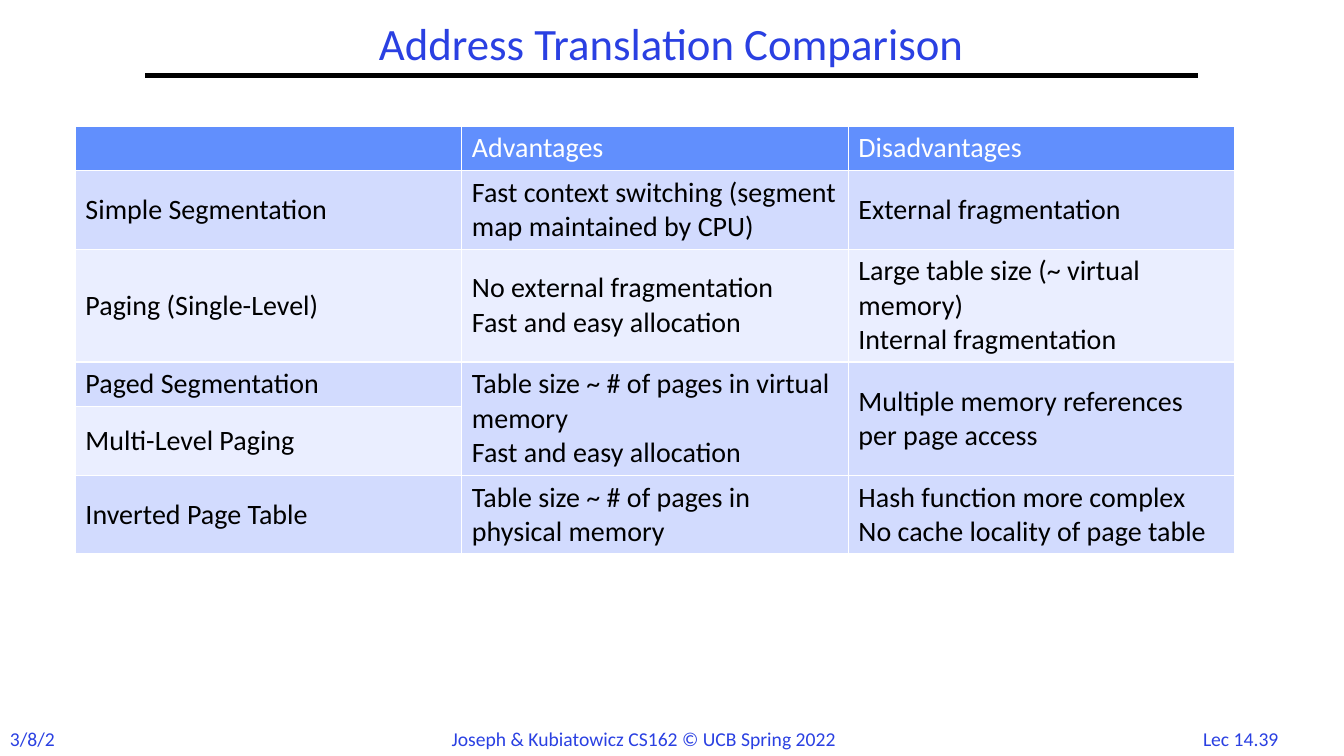
import pptx
import pptx.dml.color
import pptx.enum.shapes
import pptx.enum.text
import pptx.oxml
import pptx.util
from pptx.util import Cm

COLORS = {
    "blue": "2A40E2",
    "black": "000000",
    "white": "FFFFFF",
    "header": "618FFD",
    "odd": "D2DBFE",
    "even": "EAEEFF",
}
ALIGN = pptx.enum.text.PP_ALIGN
ANCHOR = pptx.enum.text.MSO_ANCHOR

COMPARISON = [
    ("", "Advantages", "Disadvantages"),
    ("Simple Segmentation", "Fast context switching (segment map maintained by CPU)", "External fragmentation"),
    ("Paging (Single-Level)", "No external fragmentation\nFast and easy allocation",
     "Large table size (~ virtual memory)\nInternal fragmentation"),
    ("Paged Segmentation", "Table size ~ # of pages in virtual memory\nFast and easy allocation",
     "Multiple memory references per page access"),
    ("Multi-Level Paging", "", ""),
    ("Inverted Page Table", "Table size ~ # of pages in physical memory",
     "Hash function more complex\nNo cache locality of page table"),
]
ROW_HEIGHTS = [1.11, 1.99, 2.84, 1.12, 1.74, 1.98]
COLUMN_WIDTH = 9.74
SHARED_ROWS = (3, 4)


def color(name):
    """Return the named colour."""
    return pptx.dml.color.RGBColor.from_string(COLORS[name])


def style_text(frame, size, color_name):
    """Give every run in the frame its font."""
    for para in frame.paragraphs:
        for span in para.runs:
            span.font.name = "Calibri"
            span.font.size = pptx.util.Pt(size)
            span.font.color.rgb = color(color_name)


def add_label(page, text, left, top, width, height, size, align, wrap=False):
    """Add a blue line of text."""
    box = page.shapes.add_textbox(Cm(left), Cm(top), Cm(width), Cm(height))
    frame = box.text_frame
    frame.text = text
    frame.word_wrap = wrap
    frame.paragraphs[0].alignment = align
    style_text(frame, size, "blue")
    return frame


def add_rule(page, left, right, top):
    """Add the black line under the title."""
    rule = page.shapes.add_connector(
        pptx.enum.shapes.MSO_CONNECTOR.STRAIGHT, Cm(left), Cm(top), Cm(right), Cm(top))
    rule.line.color.rgb = color("black")
    rule.line.width = pptx.util.Pt(3)
    properties = rule.element.spPr
    properties.append(pptx.oxml.parse_xml(
        '<a:effectLst xmlns:a="http://schemas.openxmlformats.org/drawingml/2006/main"/>'))


def add_comparison(page, left, top):
    """Add the table of advantages and disadvantages."""
    columns = len(COMPARISON[0])
    table = page.shapes.add_table(
        len(COMPARISON), columns, Cm(left), Cm(top),
        Cm(COLUMN_WIDTH * columns), Cm(sum(ROW_HEIGHTS))).table
    for column in table.columns:
        column.width = Cm(COLUMN_WIDTH)
    for index, texts in enumerate(COMPARISON):
        table.rows[index].height = Cm(ROW_HEIGHTS[index])
        fill = "header" if index == 0 else "odd" if index % 2 else "even"
        for position, text in enumerate(texts):
            cell = table.cell(index, position)
            cell.text = text
            cell.vertical_anchor = ANCHOR.MIDDLE
            cell.fill.solid()
            cell.fill.fore_color.rgb = color(fill)
            style_text(cell.text_frame, 20, "black" if index else "white")
    first, last = SHARED_ROWS
    for position in range(1, columns):
        table.cell(first, position).merge(table.cell(last, position))


def main():
    """Build the slide and save it."""
    deck = pptx.Presentation()
    deck.slide_width, deck.slide_height = Cm(33.87), Cm(19.05)
    page = deck.slides.add_slide(deck.slide_layouts[6])
    add_label(page, "Lec 14.39", 29.9, 18.19, 2.74, 0.85, 14, ALIGN.CENTER)
    add_label(page, "3/8/22", 0, 18.19, 1.78, 0.85, 14, ALIGN.LEFT)
    add_label(page, "Joseph & Kubiatowicz CS162 © UCB Spring 2022",
              11.13, 18.19, 10.49, 0.85, 14, ALIGN.LEFT)
    add_rule(page, 3.66, 30.2, 1.9)
    title = add_label(page, "Address Translation Comparison",
                      3.66, 0.43, 26.52, 1.47, 32, ALIGN.CENTER, wrap=True)
    title.vertical_anchor = ANCHOR.MIDDLE
    title.paragraphs[0].line_spacing = 0.9
    add_comparison(page, 1.9, 3.18)
    deck.save("out.pptx")


if __name__ == "__main__":
    main()
